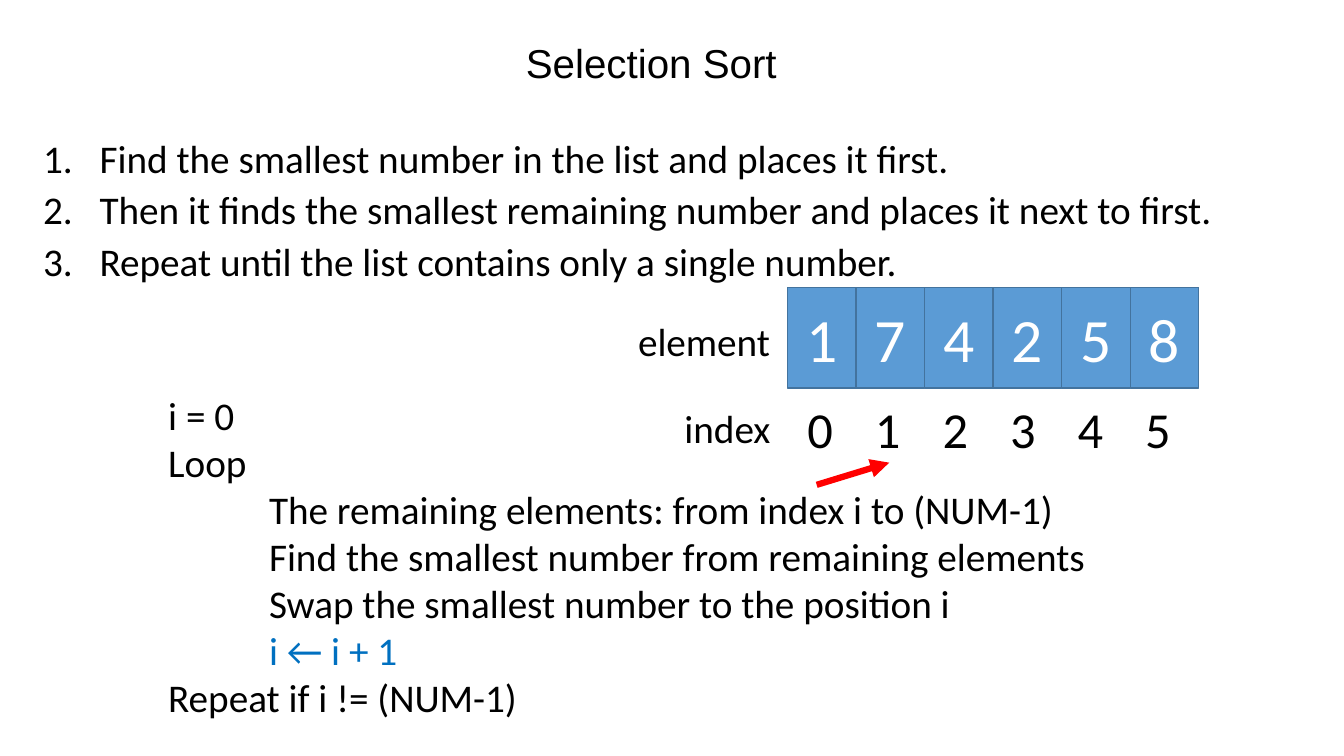
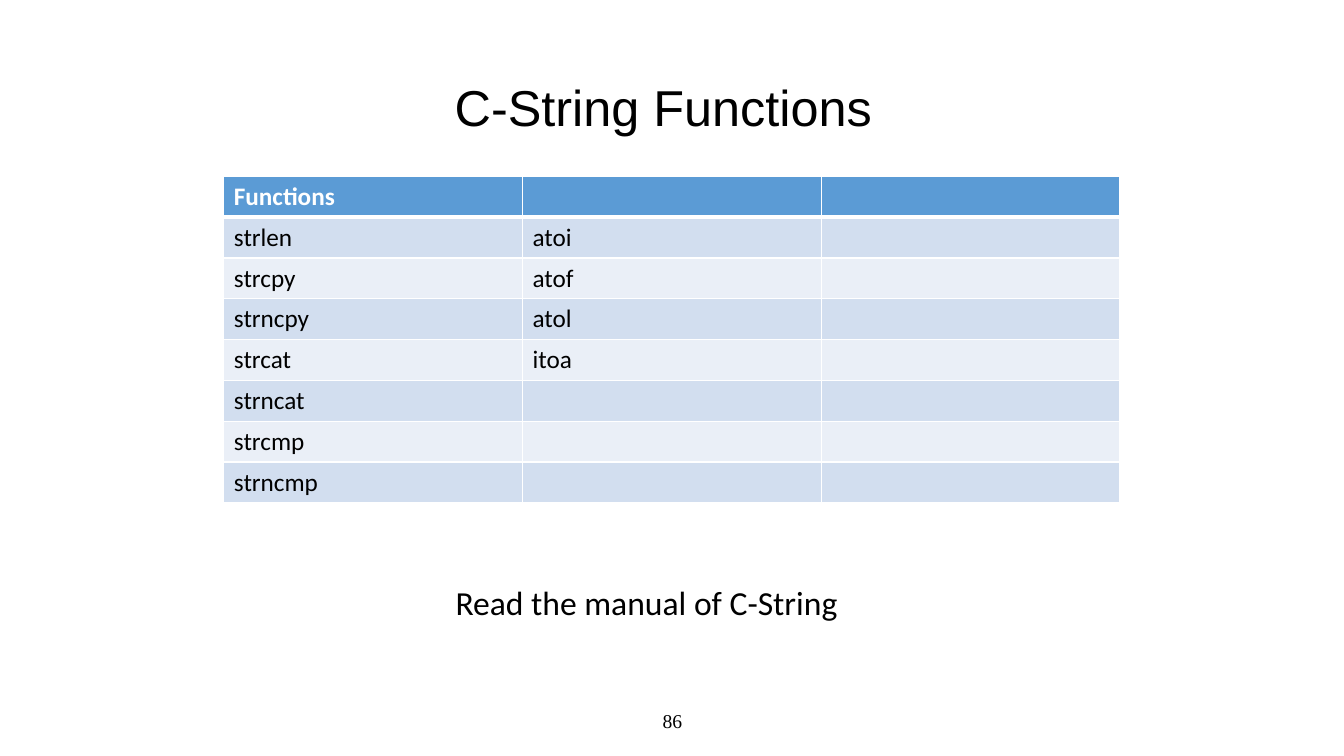
import dataclasses
import typing

import pptx
import pptx.dml.color
import pptx.enum.shapes
import pptx.enum.text
import pptx.oxml
import pptx.oxml.ns
import pptx.shapes.autoshape
import pptx.slide
import pptx.text.text
import pptx.util

SCALE = 9144  # EMU in one px, 100 px to the inch
ALIGN = pptx.enum.text.PP_ALIGN
ANCHOR = pptx.enum.text.MSO_ANCHOR
GROW = pptx.enum.text.MSO_AUTO_SIZE.SHAPE_TO_FIT_TEXT


@dataclasses.dataclass(frozen=True)
class Theme:
    black: str = "000000"
    white: str = "FFFFFF"
    blue: str = "5B9BD5"
    edge: str = "43739E"
    accent: str = "0070C0"
    red: str = "FF0000"
    bands: tuple[str, str] = ("D2DEEF", "EAEFF7")
    sans: str = "Calibri"
    head: str = "Arial"
    serif: str = "Times New Roman"
    foot: int = 14
    table: int = 18
    note: int = 24
    body: int = 28
    index: int = 36
    cell: int = 44


THEME = Theme()


@dataclasses.dataclass(frozen=True)
class Box:
    left: int
    top: int
    width: int
    height: int


@dataclasses.dataclass(frozen=True)
class Font:
    size: float
    color: str = THEME.black
    name: str = THEME.sans
    bold: bool = False


@dataclasses.dataclass(frozen=True)
class Line:
    text: str
    font: Font
    indent: int = 0
    number: bool = False
    form: dict[str, typing.Any] = dataclasses.field(default_factory=dict)


@dataclasses.dataclass(frozen=True)
class Label:
    text: str
    box: Box
    size: int


BODY = Font(THEME.body)
MIDDLE = {"word_wrap": True, "vertical_anchor": ANCHOR.MIDDLE}
LOOSE = {"word_wrap": False, "auto_size": GROW}
CENTER = {"alignment": ALIGN.CENTER}
TITLE = {**CENTER, "line_spacing": 0.9}


def px(count: int) -> pptx.util.Emu:
    return pptx.util.Emu(count * SCALE)


def place(box: Box) -> tuple[pptx.util.Emu, ...]:
    return tuple(px(side) for side in dataclasses.astuple(box))


def rgb(color: str) -> pptx.dml.color.RGBColor:
    return pptx.dml.color.RGBColor.from_string(color)


def apply(target: typing.Any, form: dict[str, typing.Any]) -> None:
    for name, value in form.items():
        setattr(target, name, value)


def node(xml: str) -> typing.Any:
    tag, rest = xml.split(" ", 1) if " " in xml else (xml, "/>")
    return pptx.oxml.parse_xml(f"<a:{tag} {pptx.oxml.ns.nsdecls('a')} {rest}")


def add_run(para: typing.Any, text: str, font: Font) -> None:
    run = para.add_run()
    run.text = text
    apply(run.font, {"size": pptx.util.Pt(font.size), "name": font.name, "bold": font.bold})
    run.font.color.rgb = rgb(font.color)


def write(frame: pptx.text.text.TextFrame, lines: list[Line], form: dict[str, typing.Any]) -> None:
    apply(frame, form)
    for rank, line in enumerate(lines):
        para = frame.add_paragraph() if rank else frame.paragraphs[0]
        if line.indent:
            props = para._p.get_or_add_pPr()
            props.set("marL", str(px(line.indent)))
            if line.number:
                props.set("indent", str(px(-line.indent)))
                props.append(node('buAutoNum type="arabicPeriod"/>'))
        apply(para, line.form)
        add_run(para, line.text, line.font)


def add_text(slide: pptx.slide.Slide, box: Box, lines: list[Line],
             form: dict[str, typing.Any]) -> pptx.shapes.autoshape.Shape:
    shape = slide.shapes.add_textbox(*place(box))
    write(shape.text_frame, lines, form)
    return shape


def add_title(slide: pptx.slide.Slide, box: Box, text: str,
              size: float) -> pptx.shapes.autoshape.Shape:
    return add_text(slide, box, [Line(text, Font(size, name=THEME.head), form=TITLE)], MIDDLE)


def add_cell(slide: pptx.slide.Slide, box: Box, text: str) -> None:
    kind = pptx.enum.shapes.MSO_SHAPE.RECTANGLE
    shape = slide.shapes.add_shape(kind, *place(box))
    shape.shadow.inherit = False
    shape.fill.solid()
    shape.fill.fore_color.rgb = rgb(THEME.blue)
    shape.line.color.rgb = rgb(THEME.edge)
    shape.line.width = pptx.util.Pt(1)
    write(shape.text_frame, [Line(text, Font(THEME.cell, THEME.white), form=CENTER)], MIDDLE)


def add_arrow(slide: pptx.slide.Slide, start: tuple[int, int], end: tuple[int, int]) -> None:
    kind = pptx.enum.shapes.MSO_CONNECTOR.STRAIGHT
    arrow = slide.shapes.add_connector(kind, *(px(side) for side in start + end))
    arrow.line.color.rgb = rgb(THEME.red)
    arrow.line.width = pptx.util.Pt(4.5)
    props = arrow.element.spPr
    props.find(pptx.oxml.ns.qn("a:ln")).append(node('tailEnd type="triangle"/>'))
    props.append(node("effectLst"))


def add_grid(slide: pptx.slide.Slide, box: Box, rows: list[tuple[str, ...]], cols: int) -> None:
    table = slide.shapes.add_table(len(rows), cols, *place(box)).table
    for row, texts in enumerate(rows):
        head = row == 0
        fill = THEME.blue if head else THEME.bands[(row - 1) % 2]
        font = Font(THEME.table, THEME.white if head else THEME.black, bold=head)
        for col in range(cols):
            cell = table.cell(row, col)
            # Borders come before the fill
            props = cell._tc.get_or_add_tcPr()
            for side in "LRTB":
                thick = (head and side == "B") or (row == 1 and side == "T")
                width = pptx.util.Pt(3 if thick else 1)
                props.append(node(f'ln{side} w="{width}"><a:solidFill><a:srgbClr '
                                  f'val="{THEME.white}"/></a:solidFill></a:ln{side}>'))
            cell.fill.solid()
            cell.fill.fore_color.rgb = rgb(fill)
            if col < len(texts):
                write(cell.text_frame, [Line(texts[col], font)], {})


def draw_sort(slide: pptx.slide.Slide) -> None:
    # Pseudocode
    steps = [
        Line("i = 0", BODY),
        Line("Loop", BODY),
        Line("The remaining elements: from index i to (NUM-1)", BODY, 100),
        Line("Find the smallest number from remaining elements", BODY, 100),
        Line("Swap the smallest number to the position i", BODY, 100),
        Line("i ← i + 1", Font(THEME.body, THEME.accent), 100),
        Line("Repeat if i != (NUM-1)", BODY),
    ]
    add_text(slide, Box(157, 383, 934, 340), steps, LOOSE)

    # Array cells, indices and row names
    values = "174258"
    for rank, value in enumerate(values):
        add_cell(slide, Box(781 + 68 * rank, 285, 68, 100), value)
    labels = [Label(str(rank), Box(791 + 67 * rank, 390, 46, 71), THEME.index)
              for rank in range(len(values))]
    labels += [Label("index", Box(669, 396, 106, 57), THEME.body),
               Label("element", Box(623, 310, 152, 57), THEME.body)]
    for label in labels:
        add_text(slide, label.box, [Line(label.text, Font(label.size))], LOOSE)
    add_arrow(slide, (810, 481), (882, 459))

    # Numbered rules
    rules = ["Find the smallest number in the list and places it first.",
             "Then it finds the smallest remaining number and places it next to first.",
             "Repeat until the list contains only a single number."]
    lines = [Line(rule, BODY, 56, True,
                  {"line_spacing": 0.8, "space_before": pptx.util.Pt(10 if rank else 0)})
             for rank, rule in enumerate(rules)]
    add_text(slide, Box(33, 137, 1203, 286), lines, {"word_wrap": True})
    add_title(slide, Box(192, 43, 908, 43), "Selection Sort", 28.8)


def draw_string(slide: pptx.slide.Slide) -> None:
    # Page number and title
    page = Line("86", Font(THEME.foot, name=THEME.serif), form=CENTER)
    add_text(slide, Box(442, 695, 450, 40), [page], MIDDLE)
    title = add_title(slide, Box(0, 55, 1333, 101), "C-String Functions", 36)
    add_run(title.text_frame.paragraphs[0], " ", Font(44, name=THEME.head))

    # Function table
    rows = [("Functions",), ("strlen", "atoi"), ("strcpy", "atof"), ("strncpy", "atol"),
            ("strcat", "itoa"), ("strncat",), ("strcmp",), ("strncmp",)]
    add_grid(slide, Box(222, 175, 889, 324), rows, 3)
    note = Line("Read the manual of C-String", Font(THEME.note))
    add_text(slide, Box(442, 572, 402, 50), [note], LOOSE)


def main() -> None:
    deck = pptx.Presentation()
    apply(deck, {"slide_width": px(1333), "slide_height": px(750)})
    for draw in (draw_sort, draw_string):
        draw(deck.slides.add_slide(deck.slide_layouts[6]))
    deck.save("out.pptx")


if __name__ == "__main__":
    main()
